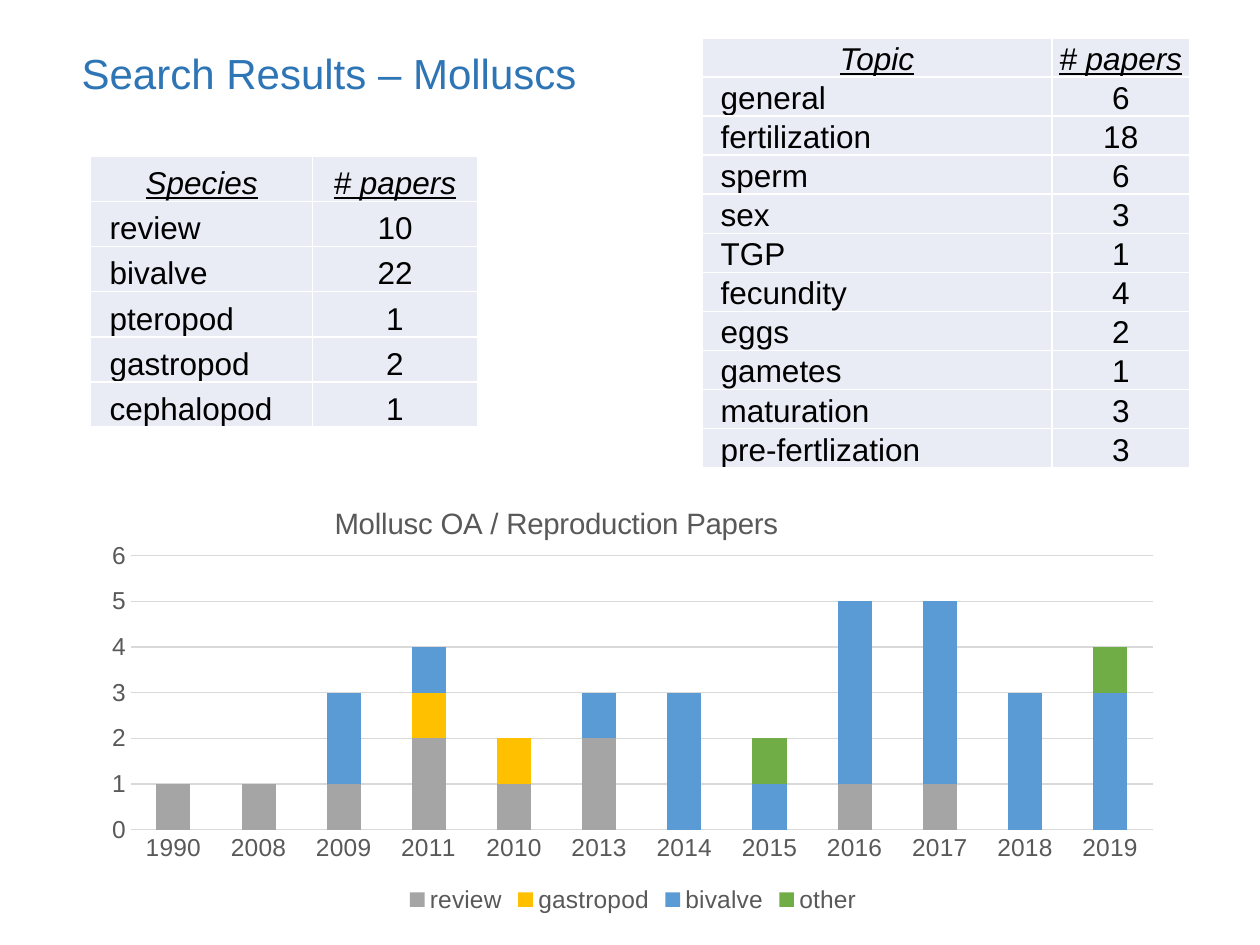
from dataclasses import dataclass

from lxml import etree
from pptx import Presentation, util as u
from pptx.chart.data import CategoryChartData
from pptx.dml.color import RGBColor
from pptx.enum import chart as ce, text as te
from pptx.oxml import parse_xml
from pptx.oxml.ns import nsdecls, qn


@dataclass(frozen=True)
class Theme:
    """Colours, font and type sizes of the slide."""
    font: str = "Arial"
    heading: str = "2E75B6"
    ink: str = "000000"
    label: str = "595959"
    grid: str = "D9D9D9"
    cell: str = "E9EBF5"
    border: str = "FFFFFF"
    heading_size: float = 24
    table_size: float = 18
    chart_title_size: float = 16.8
    label_size: float = 14


THEME = Theme()
SPECIES = [("Species", "# papers"), ("review", 10), ("bivalve", 22),
           ("pteropod", 1), ("gastropod", 2), ("cephalopod", 1)]
TOPICS = [("Topic", "# papers"), ("general", 6), ("fertilization", 18),
          ("sperm", 6), ("sex", 3), ("TGP", 1), ("fecundity", 4), ("eggs", 2),
          ("gametes", 1), ("maturation", 3), ("pre-fertlization", 3)]
YEARS = ["1990", "2008", "2009", "2011", "2010", "2013",
         "2014", "2015", "2016", "2017", "2018", "2019"]
PAPERS = [("review", "A5A5A5", (1, 1, 1, 2, 1, 2, 0, 0, 1, 1, 0, 0)),
          ("gastropod", "FFC000", (0, 0, 0, 1, 1, 0, 0, 0, 0, 0, 0, 0)),
          ("bivalve", "5B9BD5", (0, 0, 2, 1, 0, 1, 3, 1, 4, 4, 3, 3)),
          ("other", "70AD47", (0, 0, 0, 0, 0, 0, 0, 1, 0, 0, 0, 1))]


def style_font(font, size, color):
    """Give a font the theme face with a size and colour."""
    font.name, font.size = THEME.font, u.Pt(size)
    font.color.rgb = RGBColor.from_string(color)


def inches(box):
    """Turn a box of numbers into lengths."""
    return [u.Inches(length) for length in box]


def add_heading(slide, box, wording):
    """Write the slide heading at the top of its box."""
    frame = slide.shapes.add_textbox(*inches(box)).text_frame
    frame.word_wrap = True
    run = frame.paragraphs[0].add_run()
    run.text = wording
    style_font(run.font, THEME.heading_size, THEME.heading)


def add_borders(cell):
    """Draw a thin line on all four sides of a cell."""
    for side in ("lnL", "lnR", "lnT", "lnB"):
        cell._tc.get_or_add_tcPr().append(parse_xml(
            f'<a:{side} {nsdecls("a")} w="12700"><a:solidFill>'
            f'<a:srgbClr val="{THEME.border}"/></a:solidFill></a:{side}>'))


def fill_cell(cell, value, is_header, is_name):
    """Style one table cell and write its value."""
    add_borders(cell)
    cell.fill.solid()
    cell.fill.fore_color.rgb = RGBColor.from_string(THEME.cell)
    indented = is_name and not is_header
    cell.margin_left = u.Inches(0.15 if indented else 0.01)
    cell.margin_right = cell.margin_top = u.Inches(0.01)
    cell.margin_bottom = 0
    cell.vertical_anchor = te.MSO_ANCHOR.BOTTOM
    paragraph = cell.text_frame.paragraphs[0]
    paragraph.alignment = te.PP_ALIGN.LEFT if indented else te.PP_ALIGN.CENTER
    run = paragraph.add_run()
    run.text = str(value)
    style_font(run.font, THEME.table_size, THEME.ink)
    run.font.italic = run.font.underline = is_header


def add_counts(slide, box, name_width, entries):
    """Tabulate names and paper counts in equal rows filling the box."""
    left, top, width, height = box
    counts = slide.shapes.add_table(len(entries), 2, *inches(box)).table
    counts.horz_banding = counts.first_row = False
    counts.columns[0].width = u.Inches(name_width)
    counts.columns[1].width = u.Inches(width - name_width)
    for r, entry in enumerate(entries):
        counts.rows[r].height = u.Inches(height / len(entries))
        for c, value in enumerate(entry):
            fill_cell(counts.cell(r, c), value, r == 0, c == 0)


def set_layout(parent, index, inner=False, **fractions):
    """Fix a chart part at fractions of the chart's own box."""
    for old in parent.findall(qn("c:layout")):
        parent.remove(old)
    layout = parse_xml(f'<c:layout {nsdecls("c")}><c:manualLayout/></c:layout>')
    if inner:
        etree.SubElement(layout[0], qn("c:layoutTarget")).set("val", "inner")
    for mode in ("xMode", "yMode"):
        etree.SubElement(layout[0], qn(f"c:{mode}")).set("val", "edge")
    for key, value in fractions.items():
        etree.SubElement(layout[0], qn(f"c:{key}")).set("val", str(value))
    parent.insert(index, layout)


def style_axes(chart):
    """Set labels, ticks and lines of both axes."""
    years, papers = chart.category_axis, chart.value_axis
    for axis in (years, papers):
        axis.major_tick_mark = axis.minor_tick_mark = ce.XL_TICK_MARK.NONE
        style_font(axis.tick_labels.font, THEME.label_size, THEME.label)
    papers.minimum_scale, papers.maximum_scale, papers.major_unit = 0, 6, 1
    papers.format.line.fill.background()
    for line in (years.format.line, papers.major_gridlines.format.line):
        line.color.rgb = RGBColor.from_string(THEME.grid)
        line.width = u.Pt(0.75)


def add_paper_chart(slide, box, wording):
    """Stack the papers of each year by species group."""
    data = CategoryChartData()
    data.categories = YEARS
    for name, _, values in PAPERS:
        data.add_series(name, values)
    chart = slide.shapes.add_chart(
        ce.XL_CHART_TYPE.COLUMN_STACKED, *inches(box), data).chart
    style_font(chart.font, THEME.label_size, THEME.ink)

    run = chart.chart_title.text_frame.paragraphs[0].add_run()
    run.text = wording
    style_font(run.font, THEME.chart_title_size, THEME.label)
    run.font.bold = False
    set_layout(chart.chart_title._element, 1, x=0.22, y=0.07)

    columns = chart.plots[0]
    columns.gap_width, columns.overlap = 150, 100
    columns.vary_by_categories = False
    for series, (_, color, _) in zip(columns.series, PAPERS):
        series.format.fill.solid()
        series.format.fill.fore_color.rgb = RGBColor.from_string(color)
    style_axes(chart)
    plot_area = chart._chartSpace.find(".//" + qn("c:plotArea"))
    set_layout(plot_area, 0, inner=True, x=0.037, y=0.196, w=0.942, h=0.607)

    chart.has_legend = True
    chart.legend.position = ce.XL_LEGEND_POSITION.BOTTOM
    chart.legend.include_in_layout = False
    style_font(chart.legend.font, THEME.label_size, THEME.label)


def build():
    """Assemble and save the search results slide."""
    deck = Presentation()
    deck.slide_width, deck.slide_height = u.Inches(10), u.Inches(7.5)
    slide = deck.slides.add_slide(deck.slide_layouts[6])
    add_heading(slide, (0.55, 0.33, 6.94, 2.52), "Search Results – Molluscs")
    add_counts(slide, (0.72, 1.24, 3.07, 2.15), 1.76, SPECIES)
    add_counts(slide, (5.57, 0.3, 3.87, 3.41), 2.78, TOPICS)
    add_paper_chart(slide, (0.72, 3.71, 8.61, 3.58),
                    "Mollusc OA / Reproduction Papers")
    deck.save("out.pptx")


build()
